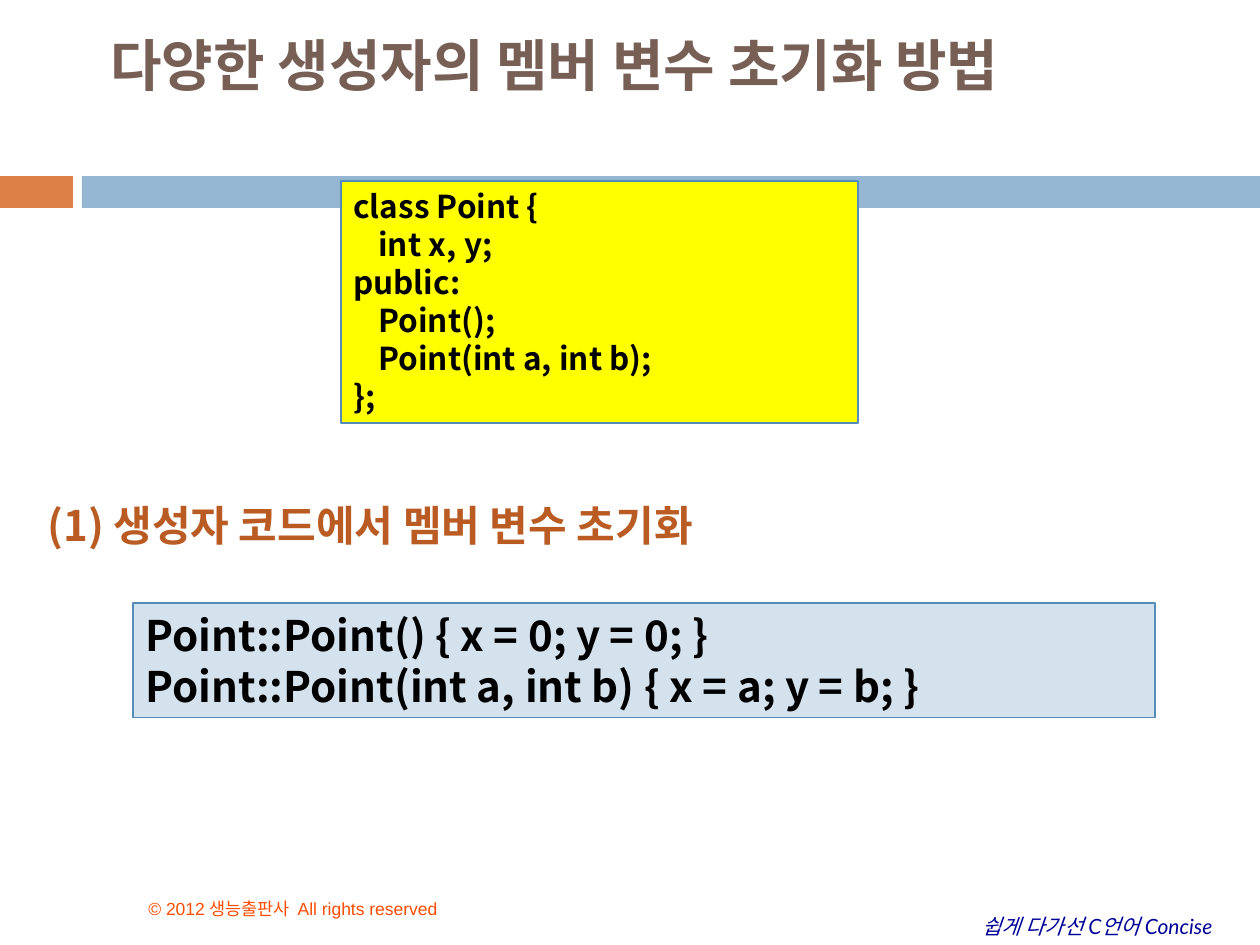
from lxml.etree import SubElement
from pptx import Presentation
from pptx.dml.color import RGBColor
from pptx.enum.shapes import MSO_SHAPE
from pptx.enum.text import MSO_ANCHOR, PP_ALIGN
from pptx.oxml.ns import qn
from pptx.util import Pt

PX = 914400 // 126
SANS, KOREAN, ITALIC = "Arial", "Noto Sans CJK KR", "Lato"
ORANGE = RGBColor(0xDD, 0x80, 0x47)
BLUE = RGBColor(0x94, 0xB6, 0xD2)
YELLOW = RGBColor(0xFF, 0xFF, 0x00)
PALE_BLUE = RGBColor(0xD4, 0xE2, 0xED)
BORDER = RGBColor(0x55, 0x8B, 0xB8)
BROWN = RGBColor(0x77, 0x5F, 0x55)
RUST = RGBColor(0xB9, 0x5B, 0x22)
NAVY = RGBColor(0x00, 0x00, 0x99)
RED = RGBColor(0xFF, 0x4C, 0x00)
BLACK = RGBColor(0x00, 0x00, 0x00)

CLASS_CODE = [
    "class Point {",
    "\tint x, y;",
    "public:",
    "\tPoint();",
    "\tPoint(int a, int b);",
    "};",
]
CONSTRUCTOR_CODE = [
    "Point::Point() { x = 0; y = 0; }",
    "Point::Point(int a, int b) { x = a; y = b; }",
]
CODE_TAB = 25


def px(*lengths):
    return [length * PX for length in lengths]


def add_rectangle(slide, box, fill, line=None):
    shape = slide.shapes.add_shape(MSO_SHAPE.RECTANGLE, *px(*box))
    shape.shadow.inherit = False
    shape.fill.solid()
    shape.fill.fore_color.rgb = fill
    if line is None:
        shape.line.fill.background()
    else:
        shape.line.color.rgb = line
        shape.line.width = Pt(0.75)
    return shape


def add_tab_stop(paragraph, position):
    tabs = SubElement(paragraph._p.get_or_add_pPr(), qn("a:tabLst"))
    SubElement(tabs, qn("a:tab"), pos=str(position * PX), algn="l")


def write_lines(shape, lines, color, spacing=None, frame_format=None, **font_format):
    """Fill the shape with one paragraph per line; spacing is in points."""
    frame = shape.text_frame
    frame_values = {"word_wrap": True, "vertical_anchor": MSO_ANCHOR.TOP,
                    "margin_top": 6 * PX}
    for name, value in (frame_values | (frame_format or {})).items():
        setattr(frame, name, value)
    for index, line in enumerate(lines):
        paragraph = frame.add_paragraph() if index else frame.paragraphs[0]
        paragraph.alignment = PP_ALIGN.LEFT
        if spacing:
            paragraph.line_spacing = Pt(spacing)
        if line.startswith("\t"):
            add_tab_stop(paragraph, CODE_TAB)
        run = paragraph.add_run()
        run.text = line
        for name, value in font_format.items():
            setattr(run.font, name, value)
        run.font.color.rgb = color
        SubElement(run._r.get_or_add_rPr(), qn("a:ea"), typeface=KOREAN)


def add_label(slide, box, text, color, **formats):
    write_lines(slide.shapes.add_textbox(*px(*box)), [text], color, **formats)


def add_code_box(slide, box, lines, fill, size, spacing):
    shape = add_rectangle(slide, box, fill, BORDER)
    write_lines(shape, lines, BLACK, spacing, name=KOREAN, size=Pt(size), bold=True)


def main():
    presentation = Presentation()
    presentation.slide_width, presentation.slide_height = px(1260, 945)
    slide = presentation.slides.add_slide(presentation.slide_layouts[6])

    add_rectangle(slide, (0, 176, 73, 32), ORANGE)
    add_rectangle(slide, (82, 176, 1178, 32), BLUE)
    add_label(slide, (970, 908, 290, 37), "쉽게 다가선 C언어 Concise", NAVY,
              name=ITALIC, size=Pt(12), italic=True)
    add_label(slide, (136, 872, 483, 53), "© 2012 생능출판사  All rights reserved", RED,
              frame_format={"vertical_anchor": MSO_ANCHOR.BOTTOM},
              name=SANS, size=Pt(10))
    add_label(slide, (98, 18, 1008, 93), "다양한 생성자의 멤버 변수 초기화 방법", BROWN,
              frame_format={"vertical_anchor": MSO_ANCHOR.MIDDLE},
              name=KOREAN, size=Pt(32), bold=True)

    add_code_box(slide, (341, 181, 517, 242), CLASS_CODE, YELLOW, 18, 21.7)
    add_label(slide, (35, 493, 854, 63), "(1) 생성자 코드에서 멤버 변수 초기화", RUST,
              spacing=29.1, name=KOREAN, size=Pt(24), bold=True)
    add_code_box(slide, (133, 603, 1022, 115), CONSTRUCTOR_CODE, PALE_BLUE, 24, 29.1)

    presentation.save("out.pptx")


if __name__ == "__main__":
    main()
